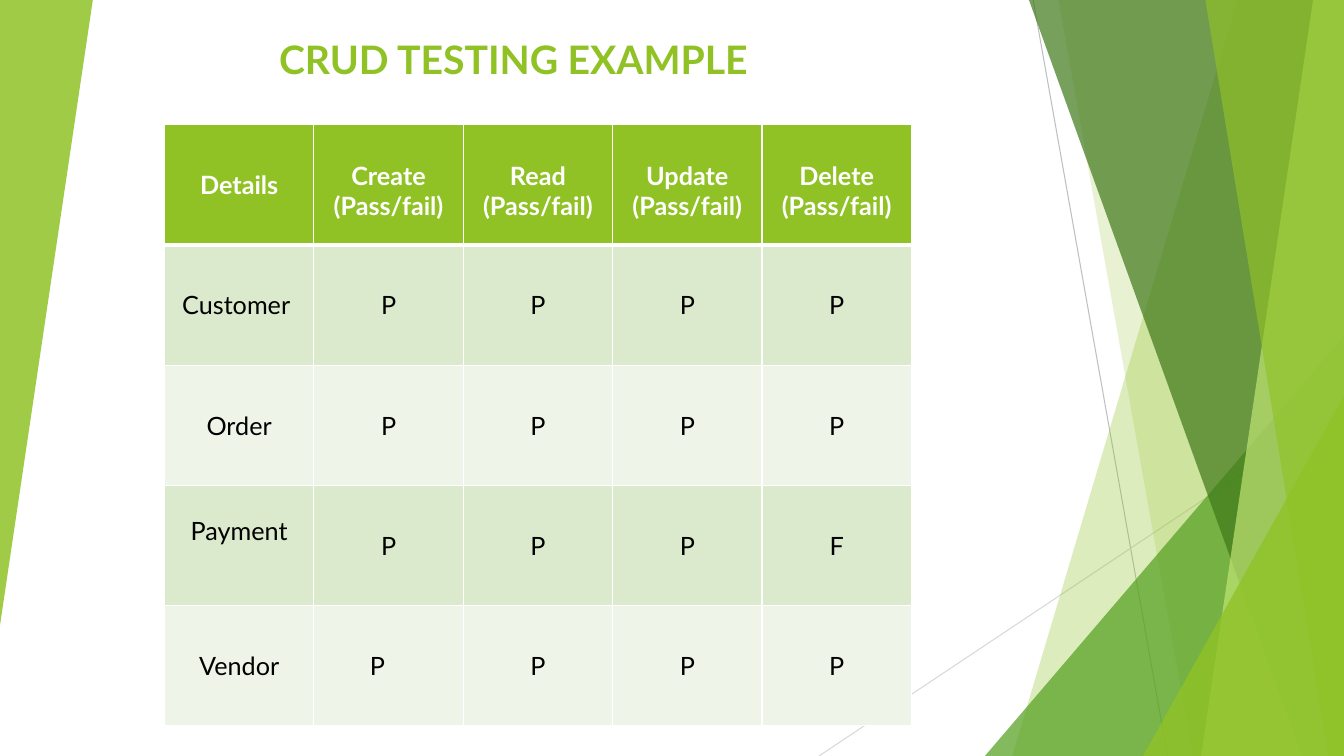
from collections import namedtuple

from lxml.etree import SubElement
from pptx import Presentation
from pptx.dml.color import RGBColor
from pptx.enum.shapes import MSO_CONNECTOR as Connector, MSO_SHAPE as Preset
from pptx.enum.text import MSO_ANCHOR as Anchor, PP_ALIGN as Align
from pptx.oxml.ns import qn
from pptx.util import Pt

WHITE = RGBColor(0xFF, 0xFF, 0xFF)
BLACK = RGBColor(0, 0, 0)
LIME = RGBColor(0x90, 0xC2, 0x26)
PALE_LIME = RGBColor(0xC0, 0xE4, 0x74)
GREEN = RGBColor(0x54, 0xA0, 0x21)
DARK_GREEN = RGBColor(0x3F, 0x78, 0x19)
BAND = RGBColor(0xDB, 0xE9, 0xCD)
LIGHT_BAND = RGBColor(0xEE, 0xF4, 0xE8)
GREY = RGBColor(0xBF, 0xBF, 0xBF)
LIGHT_GREY = RGBColor(0xD9, 0xD9, 0xD9)

FONT = "Lato"
LINE_HEIGHT = 21.6
CELL_MARGIN = 3.6

Box = namedtuple("Box", "left top width height")

OPERATIONS = ["Create", "Read", "Update", "Delete"]
RESULTS = [
    ["Customer ", "P", "P", "P", "P"],
    ["Order", "P", "P", "P", "P"],
    ["Payment", "P", "P", "P", "F"],
    ["Vendor", "P", "P", "P", "P"],
]


def write(frame, text, size=18, color=BLACK, bold=False, align=Align.CENTER):
    for index, line in enumerate(text.split("\n")):
        para = frame.add_paragraph() if index else frame.paragraphs[0]
        para.alignment = align
        span = para.add_run()
        span.text = line
        span.font.name = FONT
        span.font.size = Pt(size)
        span.font.bold = bold
        span.font.color.rgb = color


def paint(shape, color, opacity):
    shape.shadow.inherit = False
    shape.line.fill.background()
    shape.fill.solid()
    shape.fill.fore_color.rgb = color
    tone = shape._element.spPr.find(qn("a:solidFill"))[0]
    SubElement(tone, qn("a:alpha"), val=str(opacity * 1000))


def add_line(page, start, end, color):
    line = page.shapes.add_connector(Connector.STRAIGHT, *map(Pt, start + end))
    line.line.color.rgb = color
    line.line.width = Pt(0.75)
    SubElement(line._element.spPr, qn("a:effectLst"))


def add_triangle(page, box, color, opacity, rotation=0):
    triangle = page.shapes.add_shape(Preset.ISOSCELES_TRIANGLE, *map(Pt, box))
    triangle.adjustments[0] = 1
    triangle.rotation = rotation
    paint(triangle, color, opacity)


def add_facet(page, box, top_x, bottom_x, color, opacity):
    right, bottom = box.left + box.width, box.top + box.height
    builder = page.shapes.build_freeform(box.left + top_x, box.top, scale=Pt(1))
    builder.add_line_segments(
        [(right, box.top), (right, bottom), (box.left + bottom_x, bottom)], close=True
    )
    paint(builder.convert_to_shape(), color, opacity)


def add_corner_triangle(page, box, x, y, color, opacity):
    corner = Box(box.left + x, box.top + y, box.width - x, box.height - y)
    add_triangle(page, corner, color, opacity)


def add_facets(page, box):
    right, bottom = box.left + box.width, box.top + box.height
    add_line(page, (box.left + 153, box.top), (box.left + 249, bottom), GREY)
    add_line(page, (right, box.top + 290), (box.left, bottom), LIGHT_GREY)
    add_facet(page, box, 299, 138, LIME, 30)
    add_facet(page, box, 171, 267, LIME, 20)
    add_corner_triangle(page, box, 118.5, 240, GREEN, 72)
    add_facet(page, box, 150, 344.5, DARK_GREEN, 70)
    add_facet(page, box, 353, 273, PALE_LIME, 70)
    add_facet(page, box, 276, 364, LIME, 65)
    add_corner_triangle(page, box, 231.5, 283, LIME, 80)


def add_title(page, box):
    title = page.shapes.title
    title.left, title.top, title.width, title.height = map(Pt, box)
    title.text_frame.word_wrap = True
    title.text_frame.vertical_anchor = Anchor.TOP
    write(title.text_frame, "CRUD TESTING EXAMPLE ", size=28, color=LIME, bold=True)


def set_borders(cell, **widths):
    properties = cell._tc.get_or_add_tcPr()
    for side in "LRTB":
        width = Pt(widths.get(side, 1))
        border = SubElement(properties, qn(f"a:ln{side}"), w=str(int(width)))
        fill = SubElement(border, qn("a:solidFill"))
        SubElement(fill, qn("a:srgbClr"), val=str(WHITE))


def fill_cell(cell, text, background, anchor=Anchor.MIDDLE, **text_format):
    cell.fill.solid()
    cell.fill.fore_color.rgb = background
    cell.vertical_anchor = anchor
    write(cell.text_frame, text, **text_format)


def add_results_table(page, box):
    row_count, column_count = len(RESULTS) + 1, len(OPERATIONS) + 1
    table = page.shapes.add_table(row_count, column_count, *map(Pt, box)).table
    for column in table.columns:
        column.width = Pt(box.width / column_count)
    for row in table.rows:
        row.height = Pt(box.height / row_count)

    headings = ["Details"] + [f"{name}\n(Pass/fail)" for name in OPERATIONS]
    for index, heading in enumerate(headings):
        cell = table.cell(0, index)
        set_borders(cell, B=3)
        anchor = Anchor.TOP if index else Anchor.MIDDLE
        fill_cell(cell, heading, LIME, anchor, color=WHITE, bold=True)
        if index:
            cell.margin_top = Pt(CELL_MARGIN + LINE_HEIGHT)

    for row, values in enumerate(RESULTS, start=1):
        for index, value in enumerate(values):
            cell = table.cell(row, index)
            set_borders(cell, T=3 if row == 1 else 1)
            shifted = (values[0], index) == ("Vendor", 1)
            align = Align.LEFT if shifted else Align.CENTER
            fill_cell(cell, value, BAND if row % 2 else LIGHT_BAND, align=align)
            if shifted:
                cell.margin_left = Pt(40)
            if value == "Payment":
                cell.margin_bottom = Pt(CELL_MARGIN + LINE_HEIGHT)


def main():
    deck = Presentation()
    deck.slide_width, deck.slide_height = Pt(960), Pt(540)
    page = deck.slides.add_slide(deck.slide_layouts[5])
    add_facets(page, Box(585, 0, 375, 540))
    add_triangle(page, Box(0, 0, 66.3, 446.5), LIME, 85, rotation=180)
    add_results_table(page, Box(117.5, 89.2, 533.5, 429.2))
    add_title(page, Box(89.3, 21.6, 561.6, 55.4))
    deck.save("out.pptx")


if __name__ == "__main__":
    main()
